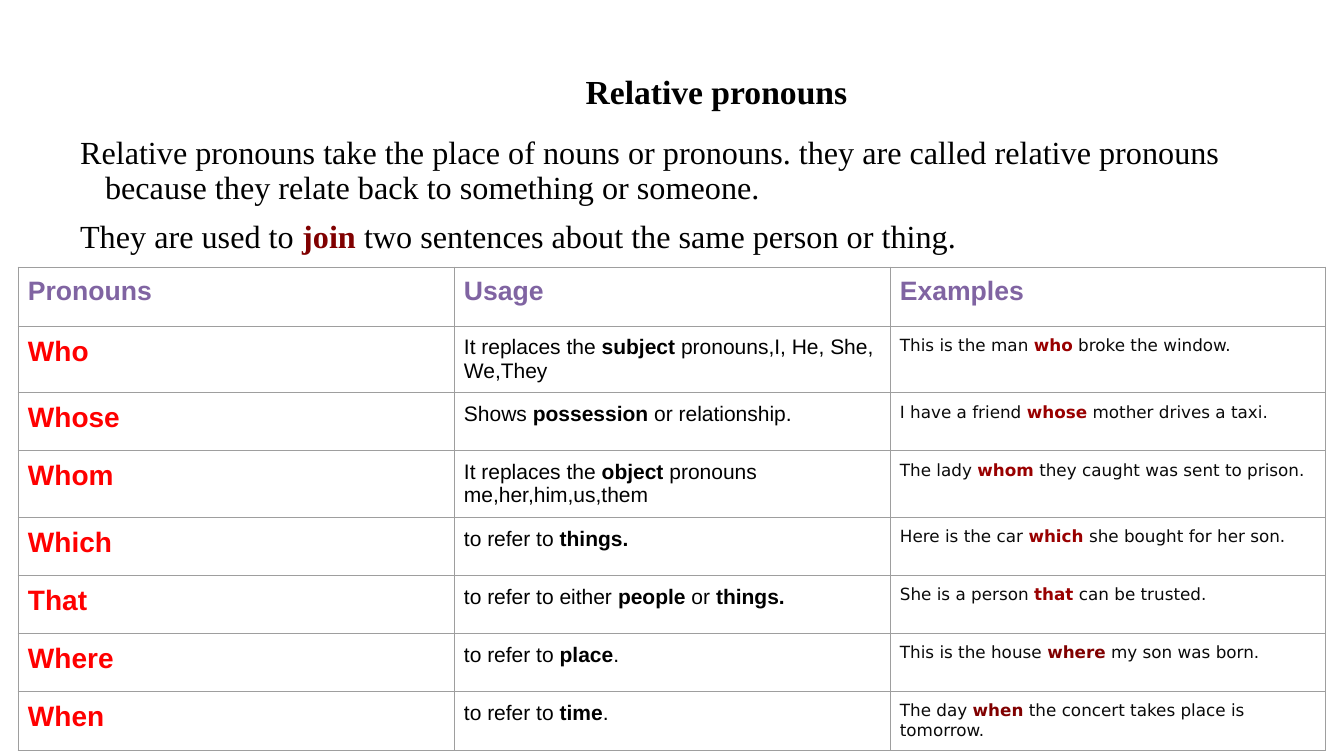
from lxml import etree
from pptx import Presentation
from pptx import util as u
from pptx.dml.color import RGBColor
from pptx.enum import text
from pptx.oxml.ns import qn

EMU_PER_PX = 914400 / 100.8

BLACK = RGBColor(0x00, 0x00, 0x00)
INK = RGBColor(0x0A, 0x0A, 0x0A)
WHITE = RGBColor(0xFF, 0xFF, 0xFF)
MAROON = RGBColor(0x80, 0x00, 0x00)
CRIMSON = RGBColor(0x99, 0x00, 0x00)
RED = RGBColor(0xFF, 0x00, 0x00)
PURPLE = RGBColor(0x80, 0x64, 0xA2)
GREY = RGBColor(0x9E, 0x9E, 0x9E)

SERIF, SANS, EXAMPLE_FONT = "Times New Roman", "Arial", "DejaVu Sans"

# Words between asterisks are emphasised
INTRO = [
    "Relative pronouns take the place of nouns or pronouns. they are called "
    "relative pronouns because they relate back to something or someone.",
    "They are used to *join* two sentences about the same person or thing.",
]
HEADINGS = ["Pronouns", "Usage", "Examples"]
PRONOUNS = [
    ("Who", "It replaces the *subject* pronouns,I, He, She, We,They",
     "This is the man *who* broke the window.", CRIMSON),
    ("Whose", "Shows *possession* or relationship.",
     "I have a friend *whose* mother drives a taxi.", CRIMSON),
    ("Whom", "It replaces the *object *pronouns me,her,him,us,them",
     "The lady *whom* they caught was sent to prison.", CRIMSON),
    ("Which", "to refer to *things.*",
     "Here is the car *which* she bought for her son.", CRIMSON),
    ("That", "to refer to either *people* or *things.*",
     "She is a person *that* can be trusted.", CRIMSON),
    ("Where", "to refer to *place*.",
     "This is the house *where* my son was born.", MAROON),
    ("When", "to refer to* time*.",
     "The day *when* the concert takes place is tomorrow.", MAROON),
]


def px(length):
    return u.Emu(round(length * EMU_PER_PX))


def write(para, words, size, font, color=BLACK, bold=False, accent=None):
    """Write words into a paragraph, with starred parts bold in the accent colour."""
    for index, part in enumerate(words.split("*")):
        if not part:
            continue
        starred = index % 2 == 1
        span = para.add_run()
        span.text = part
        span.font.size = u.Pt(size)
        span.font.name = font
        span.font.bold = bold or starred
        span.font.color.rgb = accent if starred and accent else color


def place(box, left, top, width, height, anchor):
    box.left, box.top, box.width, box.height = map(px, (left, top, width, height))
    frame = box.text_frame
    frame.word_wrap = True
    frame.auto_size = text.MSO_AUTO_SIZE.NONE
    frame.vertical_anchor = anchor
    return frame


def add_title(page):
    frame = place(page.shapes.title, 137, 39, 1159, 109, text.MSO_ANCHOR.MIDDLE)
    para = frame.paragraphs[0]
    para.alignment = text.PP_ALIGN.CENTER
    para.line_spacing = 0.9
    write(para, "Relative pronouns", 24, SERIF, bold=True)


def add_intro(page):
    frame = place(page.placeholders[1], 70, 132, 1240, 138, text.MSO_ANCHOR.TOP)
    for index, words in enumerate(INTRO):
        para = frame.add_paragraph() if index else frame.paragraphs[0]
        props = para._p.get_or_add_pPr()
        props.set("marL", str(px(25)))
        props.set("indent", str(-px(25)))
        etree.SubElement(props, qn("a:buNone"))
        para.alignment = text.PP_ALIGN.LEFT
        para.line_spacing = 0.9
        para.space_before = u.Pt(10 if index else 0)
        write(para, words, 23, SERIF, accent=MAROON)


def add_borders(cell):
    props = cell._tc.get_or_add_tcPr()
    for position, side in enumerate(("lnL", "lnR", "lnT", "lnB")):
        line = etree.Element(qn("a:" + side), w=str(u.Pt(0.75)))
        fill = etree.SubElement(line, qn("a:solidFill"))
        etree.SubElement(fill, qn("a:srgbClr"), val=str(GREY))
        props.insert(position, line)


def fill_cell(cell, words, size, font, **style):
    cell.margin_left = cell.margin_right = px(10)
    cell.margin_top = cell.margin_bottom = px(10)
    cell.fill.solid()
    cell.fill.fore_color.rgb = WHITE
    add_borders(cell)
    write(cell.text_frame.paragraphs[0], words, size, font, **style)


def add_pronoun_table(page):
    count = len(PRONOUNS) + 1
    frame = page.shapes.add_table(count, 3, px(18), px(267), px(1308), px(58 * count))
    table = frame.table
    table.first_row = table.horz_banding = False
    for column in table.columns:
        column.width = px(436)
    for row in table.rows:
        row.height = px(58)
    table.rows[0].height = px(59)

    for index, heading in enumerate(HEADINGS):
        fill_cell(table.cell(0, index), heading, 19, SANS, color=PURPLE, bold=True)
    for index, (pronoun, usage, example, accent) in enumerate(PRONOUNS, 1):
        fill_cell(table.cell(index, 0), pronoun, 20, SANS, color=RED, bold=True)
        fill_cell(table.cell(index, 1), usage, 15, SANS)
        fill_cell(table.cell(index, 2), example, 12, EXAMPLE_FONT,
                  color=INK, accent=accent)


def main():
    deck = Presentation()
    deck.slide_width, deck.slide_height = px(1344), px(756)
    page = deck.slides.add_slide(deck.slide_layouts[1])
    add_title(page)
    add_intro(page)
    add_pronoun_table(page)
    deck.save("out.pptx")


if __name__ == "__main__":
    main()
